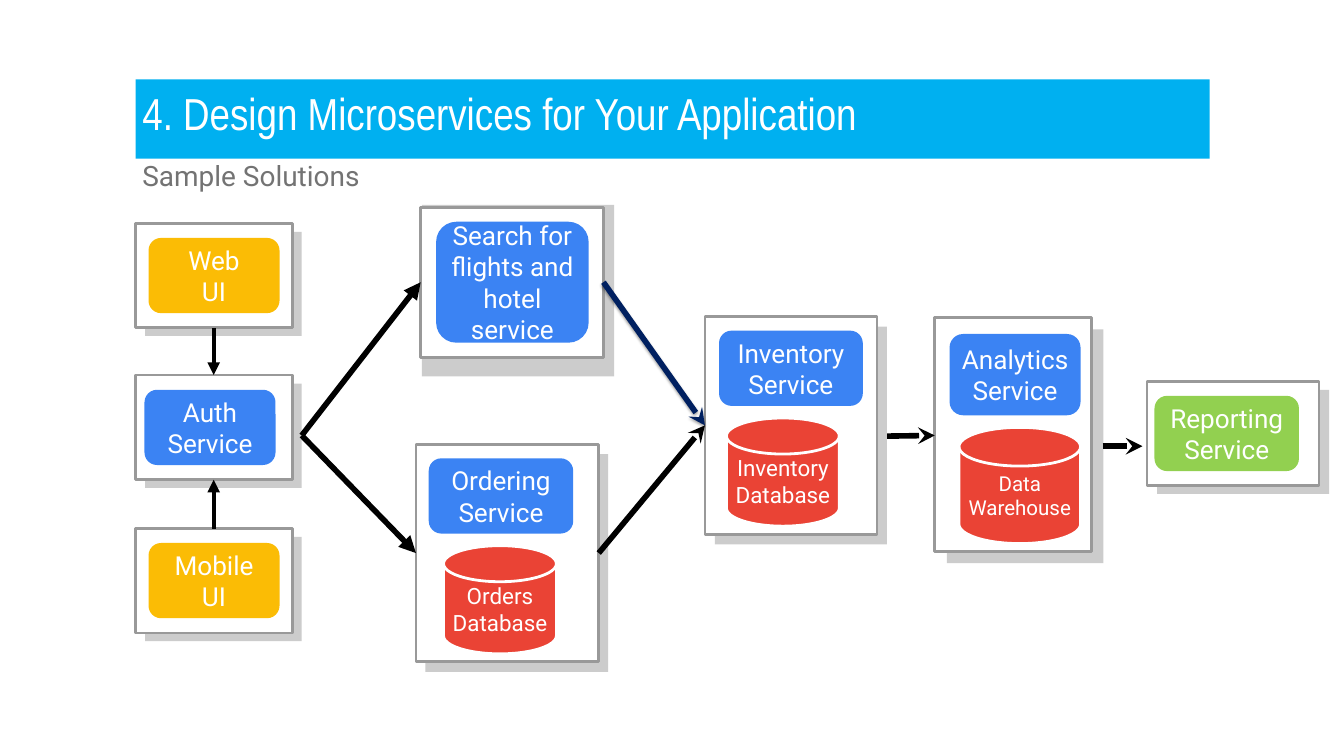
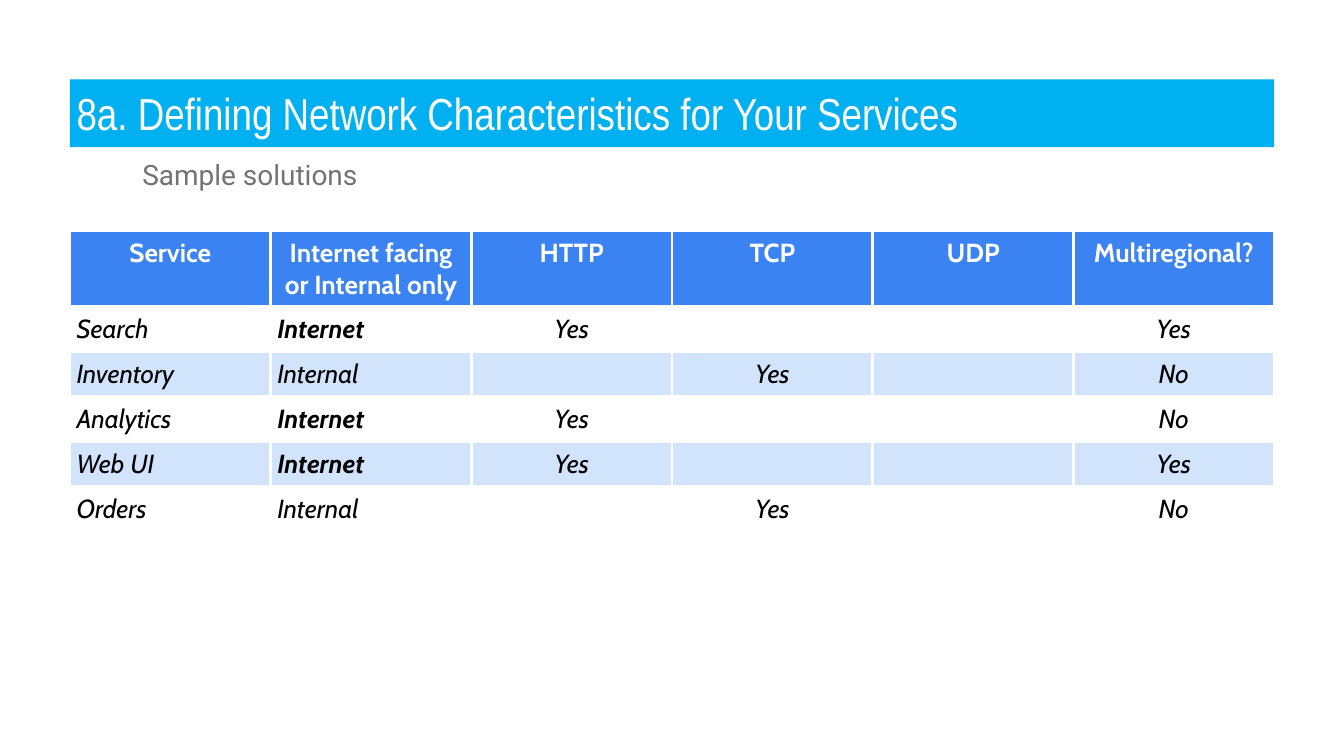
import pptx
import pptx.util
import pptx.dml.color
import pptx.enum.shapes
import pptx.enum.text
import pptx.oxml
import pptx.oxml.ns

Inches = pptx.util.Inches
Pt = pptx.util.Pt
RGBColor = pptx.dml.color.RGBColor
SHAPE = pptx.enum.shapes.MSO_SHAPE
ALIGN = pptx.enum.text.PP_ALIGN
ANCHOR = pptx.enum.text.MSO_ANCHOR

WHITE = RGBColor(0xFF, 0xFF, 0xFF)
BLACK = RGBColor(0x00, 0x00, 0x00)
BAND = RGBColor(0x00, 0xB0, 0xF0)
SUBTITLE = RGBColor(0x73, 0x73, 0x73)
SHADE = RGBColor(0xCC, 0xCC, 0xCC)
FRAME = RGBColor(0x99, 0x99, 0x99)
YELLOW = RGBColor(0xFB, 0xBC, 0x05)
BLUE = RGBColor(0x3B, 0x83, 0xF3)
RED = RGBColor(0xEA, 0x43, 0x35)
GREEN = RGBColor(0x92, 0xD0, 0x50)
NAVY = RGBColor(0x00, 0x20, 0x60)
STRIPE = RGBColor(0xD2, 0xE3, 0xFC)

TITLE_FONT = dict(name="Arial Narrow", size=Pt(48), color=WHITE)
SUBTITLE_FONT = dict(name="Roboto", size=Pt(30), color=SUBTITLE)
SERVICE_FONT = dict(name="Roboto", size=Pt(28), color=WHITE)
DATABASE_FONT = dict(SERVICE_FONT, size=Pt(24))
WAREHOUSE_FONT = dict(SERVICE_FONT, size=Pt(22))
HEADER_FONT = dict(name="Cabin", size=Pt(28), color=WHITE, bold=True, italic=False)
BODY_FONT = dict(HEADER_FONT, color=BLACK, bold=False, italic=True)

SERVICE, DATABASE = SHAPE.ROUNDED_RECTANGLE, SHAPE.FLOWCHART_MAGNETIC_DISK

# Each card: shade box, frame box, then its parts as (shape, box, fill, text, font).
CARDS = [
    ((2.16, 3.45, 2.33, 1.55), (2.02, 3.32, 2.33, 1.55),
     [(SERVICE, (2.21, 3.54, 1.95, 1.12), YELLOW, "Web\nUI", SERVICE_FONT)]),
    ((2.16, 7.99, 2.33, 1.55), (2.02, 7.87, 2.33, 1.55),
     [(SERVICE, (2.21, 8.08, 1.95, 1.12), YELLOW, "Mobile\nUI", SERVICE_FONT)]),
    ((2.16, 5.71, 2.33, 1.55), (2.02, 5.58, 2.33, 1.55),
     [(SERVICE, (2.15, 5.8, 1.95, 1.12), BLUE, "Auth\nService", SERVICE_FONT)]),
    ((6.28, 3.05, 2.86, 2.55), (6.26, 3.09, 2.72, 2.23),
     [(SERVICE, (6.49, 3.3, 2.27, 1.8), BLUE,
       "Search for flights and hotel service", SERVICE_FONT)]),
    ((10.64, 4.86, 2.56, 3.24), (10.49, 4.71, 2.56, 3.24),
     [(SERVICE, (10.7, 4.92, 2.14, 1.12), BLUE, "Inventory\nService", SERVICE_FONT),
      (DATABASE, (10.81, 6.22, 1.68, 1.61), RED, "Inventory\nDatabase", DATABASE_FONT)]),
    ((14.09, 4.9, 2.33, 3.48), (13.91, 4.73, 2.33, 3.48),
     [(SERVICE, (14.13, 4.97, 1.95, 1.21), BLUE, "Analytics\nService", SERVICE_FONT),
      (DATABASE, (14.27, 6.36, 1.81, 1.73), RED, "Data Warehouse", WAREHOUSE_FONT)]),
    ((6.33, 6.76, 2.72, 3.24), (6.19, 6.61, 2.72, 3.24),
     [(SERVICE, (6.38, 6.82, 2.15, 1.12), BLUE, "Ordering Service", SERVICE_FONT),
      (DATABASE, (6.6, 8.12, 1.68, 1.61), RED, "Orders\nDatabase", DATABASE_FONT)]),
    ((17.22, 5.8, 2.56, 1.55), (17.07, 5.68, 2.56, 1.55),
     [(SERVICE, (17.18, 5.89, 2.15, 1.12), GREEN, "Reporting Service", SERVICE_FONT)]),
]

ARROWS = [
    ((3.18, 4.88), (3.18, 5.58), BLACK, 4.5, "triangle"),
    ((3.18, 7.87), (3.18, 7.14), BLACK, 4.5, "triangle"),
    ((4.49, 6.48), (6.26, 4.2), BLACK, 6, "triangle"),
    ((8.98, 4.2), (10.49, 6.33), NAVY, 6, "stealth"),
    ((8.91, 8.23), (10.49, 6.33), BLACK, 6, "stealth"),
    ((4.49, 6.48), (6.19, 8.23), BLACK, 6, "triangle"),
    ((13.2, 6.49), (13.91, 6.48), BLACK, 6, "stealth"),
    ((16.41, 6.64), (17, 6.64), BLACK, 6, "stealth"),
]

HEADER = ["Service", "Internet facing or Internal only", "HTTP", "TCP", "UDP", "Multiregional?"]
SERVICES = [
    ["Search", "Internet", "Yes", "", "", "Yes"],
    ["Inventory", "Internal", "", "Yes", "", "No"],
    ["Analytics", "Internet", "Yes", "", "", "No"],
    ["Web UI", "Internet", "Yes", "", "", "Yes"],
    ["Orders", "Internal", "", "Yes", "", "No"],
]
TABLE_LEFT, TABLE_TOP, TABLE_WIDTH = 1.04, 3.43, 17.92
HEADER_HEIGHT, ROW_HEIGHT = 1.1, 0.67


def inches(box):
    return [Inches(v) for v in box]


def add_xml(parent, xml):
    parent.append(pptx.oxml.parse_xml(xml.replace(">", f" {pptx.oxml.ns.nsdecls('a')}>", 1)))


def write(tf, text, font, align=ALIGN.LEFT, **paragraph):
    for i, line in enumerate(text.split("\n")):
        p = tf.add_paragraph() if i else tf.paragraphs[0]
        for key, value in dict(paragraph, alignment=align).items():
            setattr(p, key, value)
        r = p.add_run()
        r.text = line
        for key, value in font.items():
            if key == "color":
                r.font.color.rgb = value
            else:
                setattr(r.font, key, value)


def set_frame(tf, anchor):
    tf.word_wrap = True
    tf.vertical_anchor = anchor
    for side in ("left", "right", "top", "bottom"):
        setattr(tf, f"margin_{side}", Inches(0.1))


def add_box(shapes, kind, box, fill, line=None):
    sp = shapes.add_shape(kind, *inches(box))
    sp.shadow.inherit = False
    sp.fill.solid()
    sp.fill.fore_color.rgb = fill
    if line is None:
        sp.line.fill.background()
    else:
        sp.line.color.rgb = line
        sp.line.width = Pt(3)
    return sp


def add_heading(s, title, title_box, subtitle, subtitle_box):
    band = add_box(s.shapes, SHAPE.RECTANGLE, title_box, BAND)
    set_frame(band.text_frame, ANCHOR.TOP)
    write(band.text_frame, title, TITLE_FONT)
    tf = s.shapes.add_textbox(*inches(subtitle_box)).text_frame
    set_frame(tf, ANCHOR.TOP)
    write(tf, subtitle, SUBTITLE_FONT, line_spacing=1.15, space_after=Pt(16))


def add_card(s, shade, frame, parts):
    group = s.shapes.add_group_shape()
    add_box(group.shapes, SHAPE.RECTANGLE, shade, SHADE)
    add_box(group.shapes, SHAPE.RECTANGLE, frame, WHITE, FRAME)
    for kind, box, fill, text, font in parts:
        sp = add_box(group.shapes, kind, box, fill, WHITE if kind == DATABASE else None)
        set_frame(sp.text_frame, ANCHOR.MIDDLE)
        write(sp.text_frame, text, font, ALIGN.CENTER)


def add_arrow(s, start, end, color, width, head):
    line = s.shapes.add_connector(pptx.enum.shapes.MSO_CONNECTOR.STRAIGHT, *inches(start + end))
    line.line.color.rgb = color
    line.line.width = Pt(width)
    add_xml(line.line._get_or_add_ln(), f'<a:tailEnd type="{head}"></a:tailEnd>')
    shadow = ""
    if color == NAVY:
        shadow = (f'<a:outerShdw blurRad="{Pt(3.1)}" dist="{Pt(1.6)}" dir="5400000" rotWithShape="0">'
                  '<a:srgbClr val="000000"><a:alpha val="38000"/></a:srgbClr></a:outerShdw>')
    add_xml(line._element.spPr, f"<a:effectLst>{shadow}</a:effectLst>")


def add_service_table(s):
    rows = [HEADER] + SERVICES
    height = HEADER_HEIGHT + ROW_HEIGHT * len(SERVICES)
    table = s.shapes.add_table(len(rows), len(HEADER), *inches(
        (TABLE_LEFT, TABLE_TOP, TABLE_WIDTH, height))).table
    table.first_row = table.horz_banding = False
    for column in table.columns:
        column.width = Inches(TABLE_WIDTH / len(HEADER))
    for i, values in enumerate(rows):
        table.rows[i].height = Inches(ROW_HEIGHT if i else HEADER_HEIGHT)
        for j, text in enumerate(values):
            cell = table.cell(i, j)
            set_cell_look(cell, STRIPE if i and i % 2 == 0 else None if i else BLUE)
            if text:
                font = dict(BODY_FONT, bold=text == "Internet") if i else HEADER_FONT
                write(cell.text_frame, text, font,
                      ALIGN.CENTER if i == 0 or j > 1 else ALIGN.LEFT)


def set_cell_look(cell, fill):
    for side in ("left", "right", "top", "bottom"):
        setattr(cell, f"margin_{side}", Inches(0.1))
    for side in "LRTB":
        add_xml(cell._tc.get_or_add_tcPr(),
                f'<a:ln{side} w="{Pt(3)}"><a:solidFill><a:srgbClr val="{WHITE}"/>'
                f"</a:solidFill></a:ln{side}>")
    if fill is None:
        cell.fill.background()
    else:
        cell.fill.solid()
        cell.fill.fore_color.rgb = fill


def main():
    prs = pptx.Presentation()
    prs.slide_width, prs.slide_height = Inches(20), Inches(11.25)
    blank = prs.slide_layouts[6]

    s = prs.slides.add_slide(blank)
    add_heading(s, "4. Design Microservices for Your Application", (2.02, 1.18, 15.98, 1.18),
                "Sample Solutions", (2.02, 2.19, 17.32, 0.81))
    for card in CARDS:
        add_card(s, *card)
    for arrow in ARROWS:
        add_arrow(s, *arrow)

    s = prs.slides.add_slide(blank)
    add_heading(s, "8a. Defining Network Characteristics for Your Services",
                (1.04, 1.18, 17.92, 1.01), "Sample solutions", (2.02, 2.17, 13.66, 0.55))
    add_service_table(s)

    prs.save("out.pptx")


if __name__ == "__main__":
    main()
